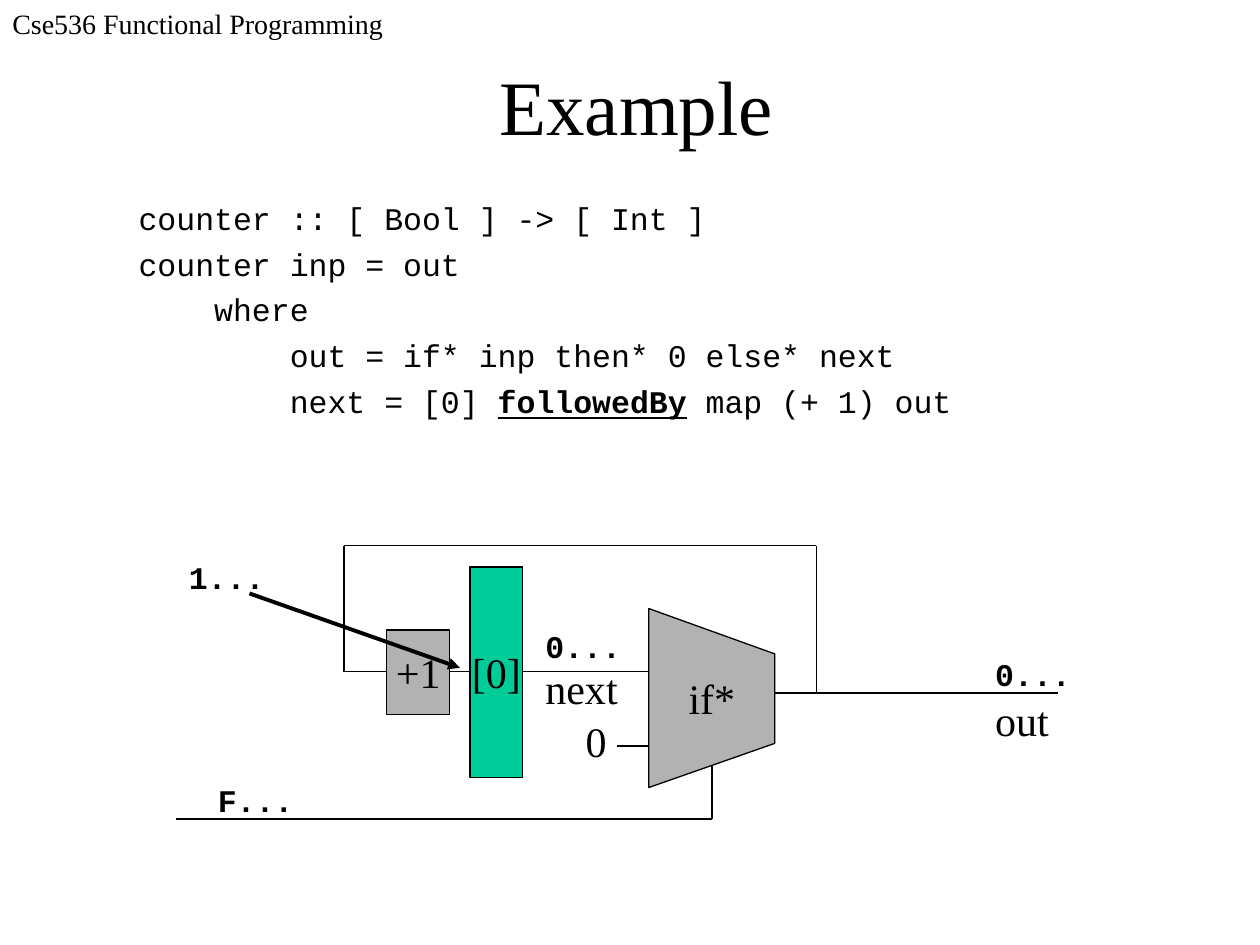
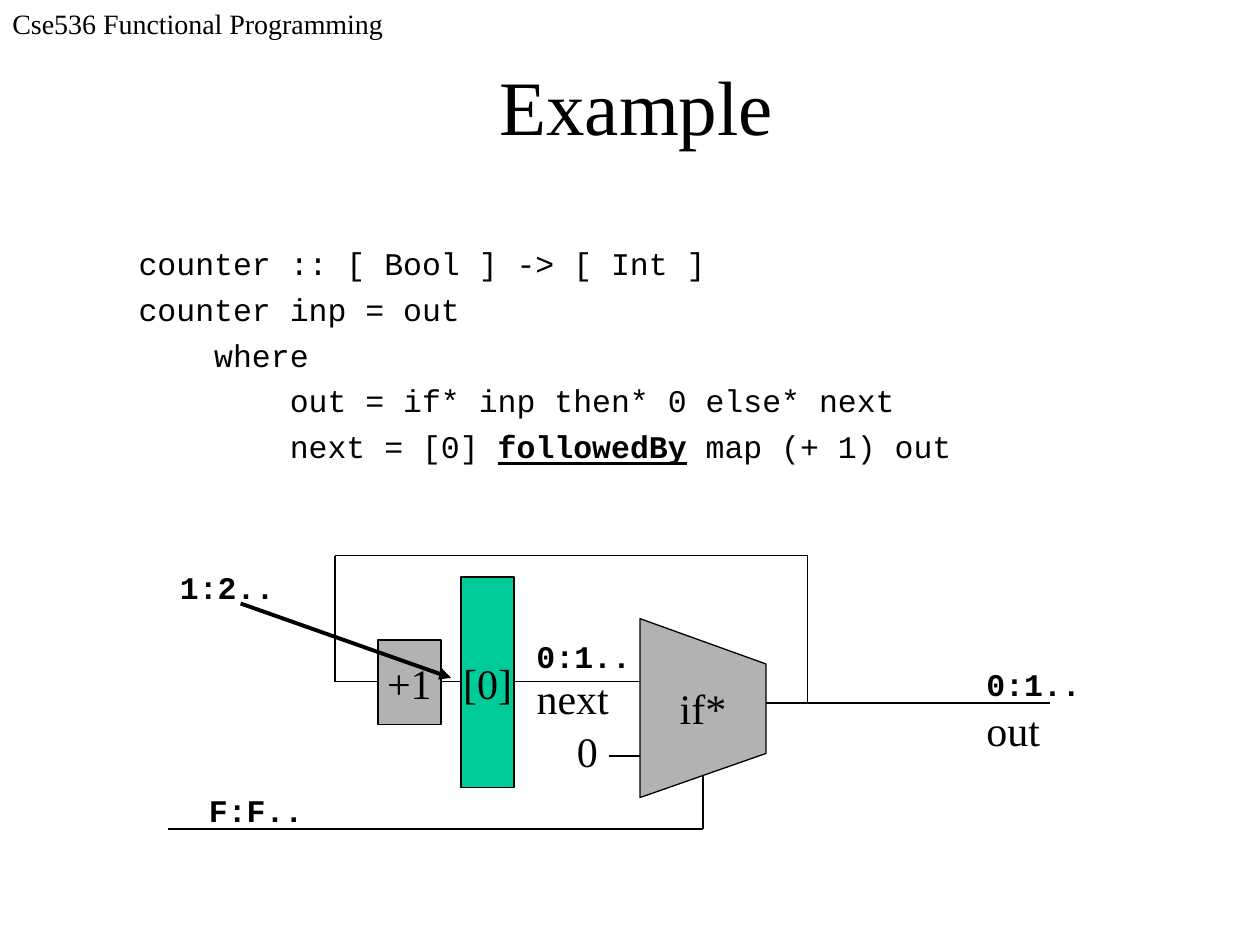
"""Build two slides that step through a counter circuit and its stream program."""
from itertools import pairwise

from lxml import etree
from pptx import Presentation
from pptx.dml.color import RGBColor
from pptx.enum import shapes, text
from pptx.oxml.ns import qn
from pptx.util import Inches, Pt

BLACK = RGBColor(0x00, 0x00, 0x00)
GRAY = RGBColor(0xB2, 0xB2, 0xB2)
GREEN = RGBColor(0x00, 0xCC, 0x99)
SERIF, MONO = "Times New Roman", "Courier New"

HEADER_FONT = {"name": SERIF, "size": Pt(16)}
TITLE_FONT = {"name": SERIF, "size": Pt(44)}
CODE_FONT = {"name": MONO, "size": Pt(18)}
KEYWORD_FONT = {"bold": True, "underline": True}
PART_FONT = {"name": SERIF, "size": Pt(24)}
STREAM_FONT = {"name": MONO, "size": Pt(18), "bold": True}

HEADER = "Cse536 Functional Programming"
TITLE = "Example"
KEYWORD = "followedBy"
CODE = [
    "counter :: [ Bool ] -> [ Int ]",
    "counter inp = out",
    "    where",
    "        out = if* inp then* 0 else* next",
    "        next = [0] followedBy map (+ 1) out",
]

STEPS = [
    {"code_inset": 0.08, "origin": (1.4, 4.33),
     "streams": {"inp": "F...", "out": "0...", "next": "0...", "plus": "1..."}},
    {"code_inset": 0.44, "origin": (1.33, 4.41),
     "streams": {"inp": "F:F..", "out": "0:1..", "next": "0:1..", "plus": "1:2.."}},
]

NEXT_WIRE = [(1.33, 1), (3.75, 1)]
WIRES = [
    [(3.75, 1.59), (3.5, 1.59)],
    [(4.75, 1.17), (7, 1.17)],
    [(5.08, 1.17), (5.08, 0), (1.33, 0), (1.33, 1), (2.08, 1)],
    [(0, 2.17), (4.25, 2.17), (4.25, 1.75)],
]
REGISTER = ("[0]", GREEN, (2.33, 0.17, 0.42, 1.67))
INCREMENT = ("+1", GRAY, (1.67, 0.67, 0.5, 0.67))
SELECTOR = [(3.75, 1.92), (4.75, 1.57), (4.75, 0.86), (3.75, 0.5)]
POINTER = [(0.58, 0.38), (2.25, 0.97)]
STREAM_PLACES = {"inp": (0.23, 1.82), "out": (6.4, 0.82),
                 "next": (2.83, 0.6), "plus": (0, 0.05)}
NAMES = [("0", (3.15, 1.3, 0.38, 0.5)), ("out", (6.4, 1.13, 0.66, 0.5)),
         ("next", (2.83, 0.88, 0.82, 0.5))]


def set_font(font, values):
    for name, value in values.items():
        setattr(font, name, value)
    font.color.rgb = BLACK


def add_text(slide, words, box, font, wrap=False, centred=False):
    frame = slide.shapes.add_textbox(*map(Inches, box)).text_frame
    frame.word_wrap = wrap
    paragraph = frame.paragraphs[0]
    paragraph.text = words
    set_font(paragraph.font, font)
    if centred:
        paragraph.alignment = text.PP_ALIGN.CENTER
        frame.vertical_anchor = text.MSO_ANCHOR.BOTTOM
    return frame


def add_code(slide, top_inset):
    frame = slide.shapes.add_textbox(*map(Inches, (0.5, 1.5, 8.94, 5.13))).text_frame
    frame.word_wrap = True
    frame.margin_left, frame.margin_top = Inches(0.6), Inches(top_inset)
    for number, line in enumerate(CODE):
        paragraph = frame.add_paragraph() if number else frame.paragraphs[0]
        if number:
            paragraph.space_before = Pt(4.5)
        before, keyword, after = line.partition(KEYWORD)
        for words, extra in ((before, {}), (keyword, KEYWORD_FONT), (after, {})):
            if words:
                run = paragraph.add_run()
                run.text = words
                set_font(run.font, CODE_FONT | extra)


def shift(origin, point):
    return tuple(Inches(start + step) for start, step in zip(origin, point))


def add_wire(slide, origin, points, width=0.75):
    for start, end in pairwise(points):
        wire = slide.shapes.add_connector(
            shapes.MSO_CONNECTOR.STRAIGHT, *shift(origin, start), *shift(origin, end))
        wire.line.color.rgb = BLACK
        wire.line.width = Pt(width)
        etree.SubElement(wire._element.spPr, qn("a:effectLst"))
    return wire


def style_part(shape, words, colour):
    shape.shadow.inherit = False
    shape.fill.solid()
    shape.fill.fore_color.rgb = colour
    shape.line.color.rgb = BLACK
    shape.line.width = Pt(0.75)
    frame = shape.text_frame
    frame.word_wrap = False
    frame.vertical_anchor = text.MSO_ANCHOR.MIDDLE
    paragraph = frame.paragraphs[0]
    paragraph.text = words
    paragraph.alignment = text.PP_ALIGN.CENTER
    set_font(paragraph.font, PART_FONT)


def add_block(slide, origin, words, colour, box):
    shape = slide.shapes.add_shape(
        shapes.MSO_SHAPE.RECTANGLE, *shift(origin, box[:2]), *map(Inches, box[2:]))
    style_part(shape, words, colour)


def add_selector(slide, origin):
    corners = [shift(origin, corner) for corner in SELECTOR]
    builder = slide.shapes.build_freeform(*corners[0])
    builder.add_line_segments(corners[1:], close=True)
    style_part(builder.convert_to_shape(), "if*", GRAY)


def add_label(slide, origin, words, box, font):
    left, top, width, height = box
    add_text(slide, words, (origin[0] + left, origin[1] + top, width, height), font, wrap=True)


def add_circuit(slide, origin, streams):
    add_wire(slide, origin, NEXT_WIRE)
    add_block(slide, origin, *REGISTER)
    add_selector(slide, origin)
    for points in WIRES:
        add_wire(slide, origin, points)
    add_block(slide, origin, *INCREMENT)
    for name, words in streams.items():
        box = (*STREAM_PLACES[name], 0.22 + 0.15 * len(words), 0.4)
        add_label(slide, origin, words, box, STREAM_FONT)
    pointer = add_wire(slide, origin, POINTER, 2.25)
    etree.SubElement(pointer.line._get_or_add_ln(), qn("a:tailEnd"), type="triangle")
    for words, box in NAMES:
        add_label(slide, origin, words, box, PART_FONT)


def main():
    presentation = Presentation()
    presentation.slide_width, presentation.slide_height = Inches(10), Inches(7.5)
    for step in STEPS:
        slide = presentation.slides.add_slide(presentation.slide_layouts[6])
        add_text(slide, HEADER, (0, 0, 3.42, 0.37), HEADER_FONT, wrap=True)
        add_text(slide, TITLE, (0.44, 0.25, 9.22, 1), TITLE_FONT, wrap=True, centred=True)
        add_code(slide, step["code_inset"])
        add_circuit(slide, step["origin"], step["streams"])
    presentation.save("out.pptx")


if __name__ == "__main__":
    main()
